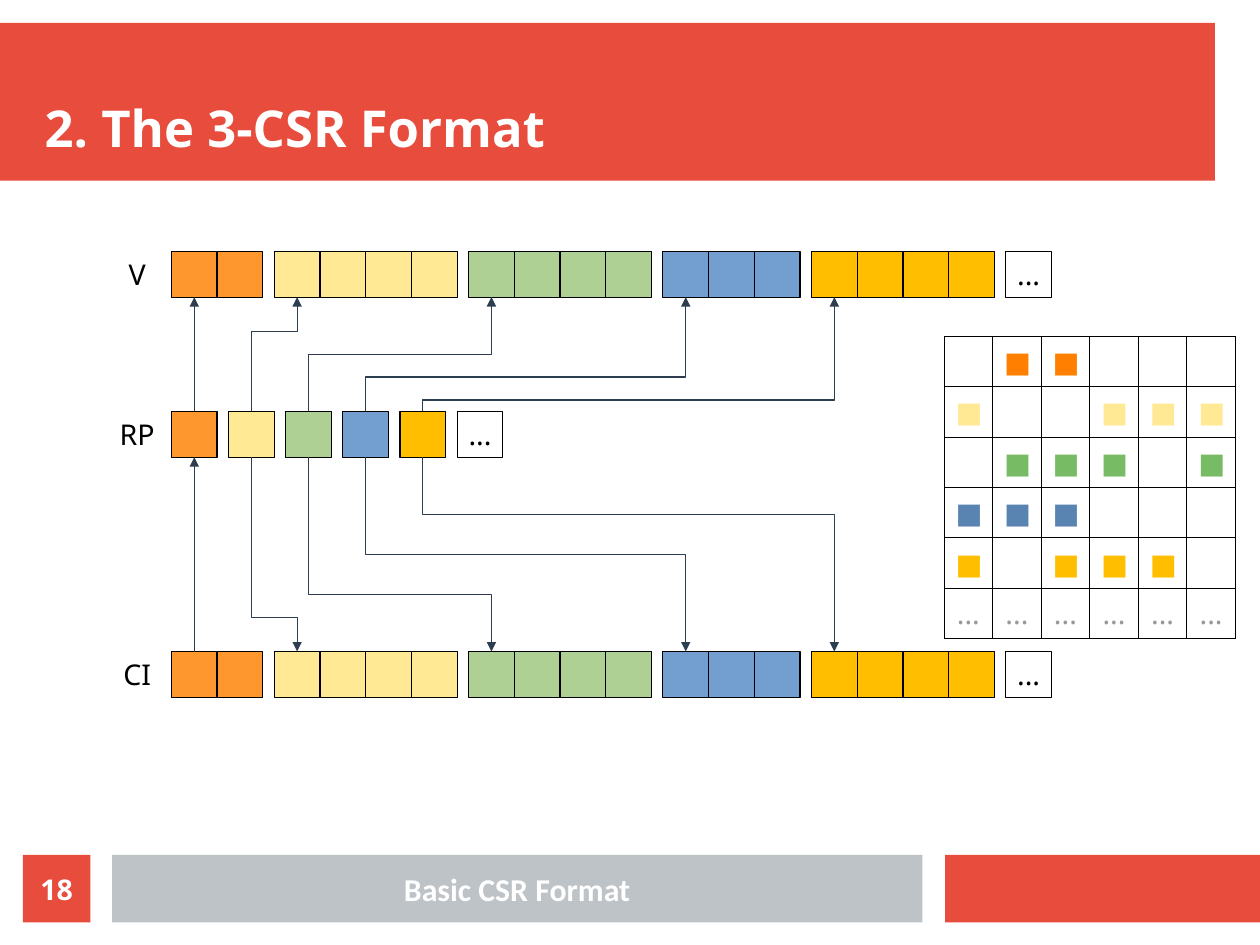
import pptx
import pptx.util
import pptx.dml.color
import pptx.enum.shapes
import pptx.enum.text
import pptx.oxml
import pptx.oxml.ns
import lxml.etree

Inches, Pt = pptx.util.Inches, pptx.util.Pt
RGBColor = pptx.dml.color.RGBColor
MSO_SHAPE = pptx.enum.shapes.MSO_SHAPE
MSO_CONNECTOR = pptx.enum.shapes.MSO_CONNECTOR
MSO_ANCHOR = pptx.enum.text.MSO_ANCHOR
PP_ALIGN = pptx.enum.text.PP_ALIGN
qn = pptx.oxml.ns.qn

RED = RGBColor(0xE7, 0x4C, 0x3C)
SILVER = RGBColor(0xBD, 0xC3, 0xC7)
WHITE = RGBColor(0xFF, 0xFF, 0xFF)
BLACK = RGBColor(0x00, 0x00, 0x00)
NAVY = RGBColor(0x2C, 0x3E, 0x50)
ORANGE = RGBColor(0xFF, 0x97, 0x2F)
YELLOW = RGBColor(0xFF, 0xE9, 0x94)
GREEN = RGBColor(0xAF, 0xD0, 0x95)
BLUE = RGBColor(0x72, 0x9F, 0xCF)
GOLD = RGBColor(0xFF, 0xBF, 0x00)
DEEP_ORANGE = RGBColor(0xFF, 0x80, 0x00)
DEEP_GREEN = RGBColor(0x77, 0xBC, 0x65)
DEEP_BLUE = RGBColor(0x59, 0x83, 0xB0)
GRAY = RGBColor(0x99, 0x99, 0x99)

CM_PER_INCH = 2.54
CELL, GAP = 0.4, 0.1
NO_MARGINS = {"margin_left": 0, "margin_right": 0, "margin_top": 0, "margin_bottom": 0}
ROW_COLORS = [ORANGE, YELLOW, GREEN, BLUE, GOLD]
ROW_LENGTHS = [2, 4, 4, 3, 4]
MATRIX = [
    (".XX...", "■", DEEP_ORANGE),
    ("X..XXX", "■", YELLOW),
    (".XXX.X", "■", DEEP_GREEN),
    ("XXX...", "■", DEEP_BLUE),
    ("X.XXX.", "■", GOLD),
    ("XXXXXX", "...", GRAY),
]


def add_run(p, text, color, size=18, font="Noto Sans", bold=False, align=PP_ALIGN.CENTER):
    p.alignment = align
    r = p.add_run()
    r.text = text
    for name, value in {"name": font, "size": Pt(size), "bold": bold}.items():
        setattr(r.font, name, value)
    r.font.color.rgb = color


def set_text(tf, text, frame, color=BLACK, **style):
    for name, value in {"vertical_anchor": MSO_ANCHOR.MIDDLE, **frame}.items():
        setattr(tf, name, value)
    add_run(tf.paragraphs[0], text, color, **style)


def add_rect(s, box, fill=None, line=None):
    sp = s.shapes.add_shape(MSO_SHAPE.RECTANGLE, *map(Inches, box))
    sp.shadow.inherit = False
    if fill is None:
        sp.fill.background()
    else:
        sp.fill.solid()
        sp.fill.fore_color.rgb = fill
    if line is None:
        sp.line.fill.background()
    else:
        sp.line.color.rgb = line
        sp.line.width = Pt(0)
    return sp


def add_label(s, box, text, frame, **style):
    set_text(s.shapes.add_textbox(*map(Inches, box)).text_frame, text, frame, **style)


def header(s, x, y, w, h):
    add_rect(s, (x, y, w, h), RED)
    add_label(s, (x + 0.39, y + 0.2, w - 0.39, 0.98), "2. The 3-CSR Format",
              {"word_wrap": True, **NO_MARGINS, "vertical_anchor": MSO_ANCHOR.BOTTOM},
              color=WHITE, size=32, bold=True, align=PP_ALIGN.LEFT)


def footer(s, x, y, w, h):
    number = add_rect(s, (x, y, h, h), RED)
    set_text(number.text_frame, "18", {"word_wrap": True, **NO_MARGINS}, color=WHITE, bold=True)
    add_rect(s, (x + 0.78, y, 7.09, h), SILVER)
    add_label(s, (x + 0.8, y + 0.02, 7.05, 0.56), "Basic CSR Format", {"word_wrap": True},
              color=WHITE, size=20, font="Calibri", bold=True)
    add_rect(s, (x + w - 2.76, y, 2.76, h), RED)


def array_row(s, x, y, name, lengths):
    add_label(s, (x, y, CELL, CELL), name, {"word_wrap": False, **NO_MARGINS})
    x += CELL + GAP
    heads = []
    for color, length in zip(ROW_COLORS, lengths):
        cells = [add_rect(s, (x + i * CELL, y, CELL, CELL), color, BLACK) for i in range(length)]
        heads.append(cells[0])
        x += length * CELL + GAP
    more = add_rect(s, (x, y, CELL, CELL), None, BLACK)
    set_text(more.text_frame, "...", {"word_wrap": False})
    return heads


def style_arrow(c):
    c.line.color.rgb = NAVY
    c.line.width = Pt(0.79)
    props = c._element.spPr
    ln = props.find(qn("a:ln"))
    lxml.etree.SubElement(ln, qn("a:tailEnd"), type="triangle")
    lxml.etree.SubElement(props, qn("a:effectLst"))


def straight_arrow(s, lower, upper):
    c = s.shapes.add_connector(MSO_CONNECTOR.STRAIGHT, 0, 0, 0, 0)
    c.begin_connect(lower, 0)
    c.end_connect(upper, 2)
    style_arrow(c)


def elbow_arrow(s, source, target, bend):
    up = target.top < source.top
    x1 = source.left + source.width // 2
    x2 = target.left + target.width // 2
    y1 = source.top if up else source.top + source.height
    y2 = target.top + target.height if up else target.top
    run, rise = x2 - x1, abs(y2 - y1)
    c = s.shapes.add_connector(MSO_CONNECTOR.ELBOW, 0, 0, 0, 0)
    place = {"left": (x1 + x2 - rise) // 2, "top": (y1 + y2 - run) // 2,
             "width": rise, "height": run}
    for name, value in place.items():
        setattr(c, name, value)
    xfrm = c._element.spPr.find(qn("a:xfrm"))
    turn = {"rot": "5400000", "flipH": "1", "flipV": "1"} if up else {"rot": "16200000", "flipH": "1"}
    for name, value in turn.items():
        xfrm.set(name, value)
    guides = c._element.spPr.find(qn("a:prstGeom")).get_or_add_avLst()
    ratio = abs(Inches(bend) - y1) / rise
    lxml.etree.SubElement(guides, qn("a:gd"), name="adj1", fmla=f"val {round(ratio * 100000)}")
    style_arrow(c)


def csr_arrays(s, x, y):
    values = array_row(s, x, y, "V", ROW_LENGTHS)
    pointers = array_row(s, x, y + 1.4, "RP", [1] * len(ROW_COLORS))
    columns = array_row(s, x, y + 3.5, "CI", ROW_LENGTHS)
    straight_arrow(s, pointers[0], values[0])
    straight_arrow(s, columns[0], pointers[0])
    for heads, bends in ((values, (0.7, 0.9, 1.1, 1.3)), (columns, (3.2, 3, 2.65, 2.3))):
        for pointer, head, bend in zip(pointers[1:], heads[1:], bends):
            elbow_arrow(s, pointer, head, y + bend)


def set_borders(cell):
    props = cell._tc.get_or_add_tcPr()
    for i, side in enumerate(("lnL", "lnR", "lnT", "lnB")):
        props.insert(i, pptx.oxml.parse_xml(
            f'<a:{side} {pptx.oxml.ns.nsdecls("a")} w="{Pt(0.57)}">'
            f'<a:solidFill><a:srgbClr val="{BLACK}"/></a:solidFill></a:{side}>'))


def sparse_matrix(s, x, y, w, h):
    n = len(MATRIX)
    table = s.shapes.add_table(n, n, *map(Inches, (x, y, w, h))).table
    for name in ("first_row", "horz_banding"):
        setattr(table, name, False)
    for i, (pattern, mark, color) in enumerate(MATRIX):
        table.rows[i].height = Inches(h / n)
        table.columns[i].width = Inches(w / n)
        for j, slot in enumerate(pattern):
            cell = table.cell(i, j)
            cell.fill.background()
            set_borders(cell)
            cell.vertical_anchor = MSO_ANCHOR.MIDDLE
            if slot == "X":
                add_run(cell.text_frame.paragraphs[0], mark, color)


def main():
    prs = pptx.Presentation()
    prs.slide_width = Inches(28 / CM_PER_INCH)
    prs.slide_height = Inches(21 / CM_PER_INCH)
    s = prs.slides.add_slide(prs.slide_layouts[6])
    header(s, 0, 0.2, 10.63, 1.38)
    csr_arrays(s, 1, 2.2)
    sparse_matrix(s, 8.26, 2.94, 2.55, 2.65)
    footer(s, 0.2, 7.48, 10.83, 0.59)
    prs.save("out.pptx")


if __name__ == "__main__":
    main()
